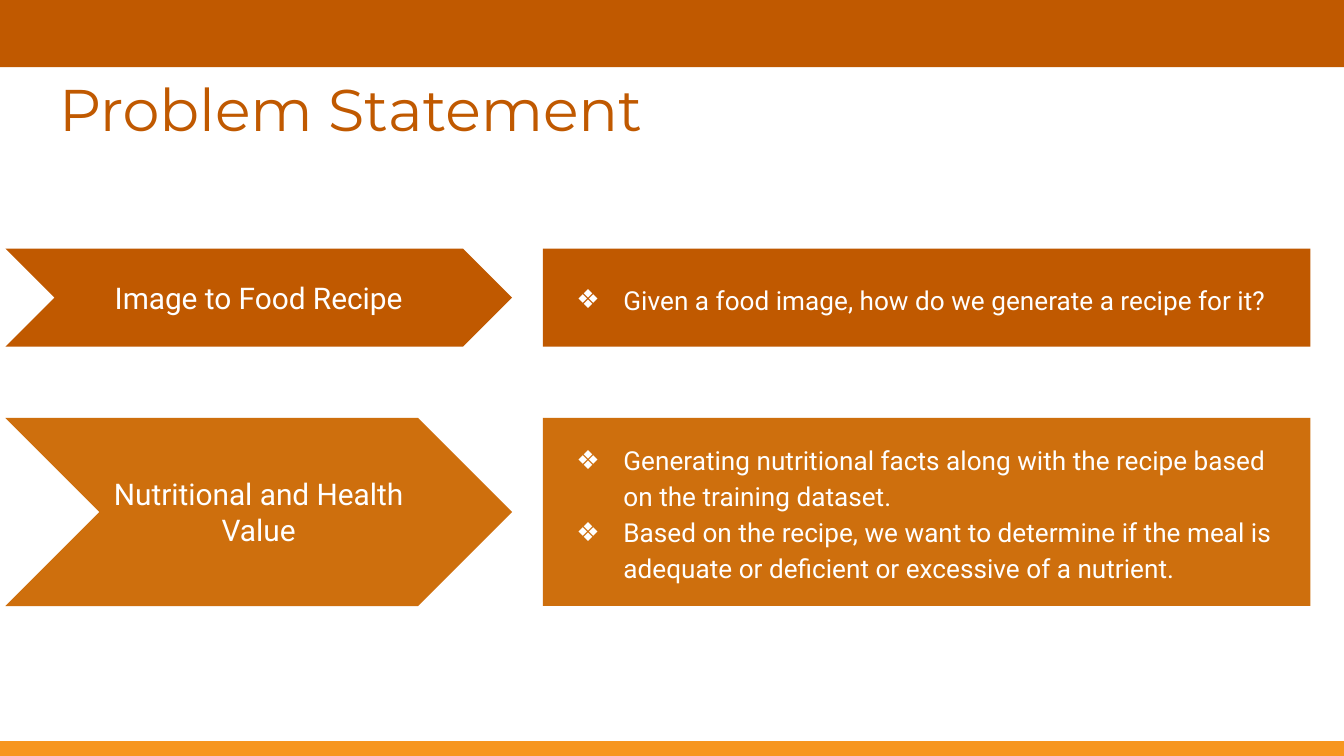
from lxml import etree
from pptx import Presentation, util as u
from pptx.dml.color import RGBColor
from pptx.enum import shapes, text
from pptx.oxml.ns import qn

COLORS = {"rust": "C05900", "ochre": "CE6F0D", "amber": "F7961F", "white": "FFFFFF"}
WIDTH = 10
HEIGHT = WIDTH * 9 / 16
CHEVRON_LEFT, CHEVRON_WIDTH = 0.04, 3.77
DETAIL_LEFT, DETAIL_WIDTH = 4.04, 5.71

# top, height, colour, heading, points
ROWS = [
    (1.85, 0.73, "rust", "Image to Food Recipe",
     ["Given a food image, how do we generate a recipe for it?"]),
    (3.11, 1.4, "ochre", "Nutritional and Health Value",
     ["Generating nutritional facts along with the recipe based on the training dataset.",
      "Based on the recipe, we want to determine if the meal is adequate or deficient "
      "or excessive of a nutrient."]),
]


def add_block(slide, kind, left, top, width, height, color):
    """Add a plain filled shape without outline or shadow."""
    block = slide.shapes.add_shape(
        kind, u.Inches(left), u.Inches(top), u.Inches(width), u.Inches(height))
    block.shadow.inherit = False
    block.fill.solid()
    block.fill.fore_color.rgb = RGBColor.from_string(COLORS[color])
    block.line.fill.background()
    return block


def set_frame(frame, anchor, side, edge):
    frame.word_wrap = True
    frame.auto_size = text.MSO_AUTO_SIZE.NONE
    frame.vertical_anchor = anchor
    frame.margin_left = frame.margin_right = u.Inches(side)
    frame.margin_top = frame.margin_bottom = u.Inches(edge)


def add_span(para, words, size, font, color):
    span = para.add_run()
    span.text = words
    span.font.size = u.Pt(size)
    span.font.name = font
    span.font.color.rgb = RGBColor.from_string(COLORS[color])


def add_bullet(para):
    props = para._p.get_or_add_pPr()
    props.set("marL", str(u.Inches(0.5)))
    props.set("indent", str(u.Inches(-0.35)))
    tint = etree.SubElement(props, qn("a:buClr"))
    etree.SubElement(tint, qn("a:srgbClr"), val=COLORS["white"])
    etree.SubElement(props, qn("a:buFont"), typeface="Roboto")
    etree.SubElement(props, qn("a:buChar"), char="❖")


def add_title(slide, words):
    title = slide.shapes.title
    title.left, title.top = u.Inches(0.34), u.Inches(0.55)
    title.width, title.height = u.Inches(9.47), u.Inches(0.77)
    set_frame(title.text_frame, text.MSO_ANCHOR.TOP, 0.1, 0.05)
    para = title.text_frame.paragraphs[0]
    para.alignment = text.PP_ALIGN.LEFT
    para.line_spacing = 0.9
    add_span(para, words, 31.5, "Montserrat", "rust")


def add_heading(slide, top, height, color, words):
    chevron = add_block(slide, shapes.MSO_SHAPE.CHEVRON, CHEVRON_LEFT, top,
                        CHEVRON_WIDTH, height, color)
    chevron.adjustments[0] = 0.5
    set_frame(chevron.text_frame, text.MSO_ANCHOR.MIDDLE, 0.1, 0.1)
    para = chevron.text_frame.paragraphs[0]
    para.alignment = text.PP_ALIGN.CENTER
    add_span(para, words, 16, "Roboto", "white")


def add_points(slide, top, height, color, points):
    box = add_block(slide, shapes.MSO_SHAPE.RECTANGLE, DETAIL_LEFT, top,
                    DETAIL_WIDTH, height, color)
    frame = box.text_frame
    set_frame(frame, text.MSO_ANCHOR.MIDDLE, 0.1, 0.1)
    for index, point in enumerate(points):
        para = frame.add_paragraph() if index else frame.paragraphs[0]
        add_bullet(para)
        para.alignment = text.PP_ALIGN.LEFT
        para.line_spacing = 1.15
        add_span(para, point, 14, "Roboto", "white")


def main():
    deck = Presentation()
    deck.slide_width, deck.slide_height = u.Inches(WIDTH), u.Inches(HEIGHT)
    page = deck.slides.add_slide(deck.slide_layouts[5])
    for top, height, color in ((0, 0.5, "rust"), (HEIGHT - 0.11, 0.11, "amber")):
        add_block(page, shapes.MSO_SHAPE.RECTANGLE, 0, top, WIDTH, height, color)
    add_title(page, "Problem Statement")
    for top, height, color, heading, points in ROWS:
        add_heading(page, top, height, color, heading)
        add_points(page, top, height, color, points)
    deck.save("out.pptx")


if __name__ == "__main__":
    main()
